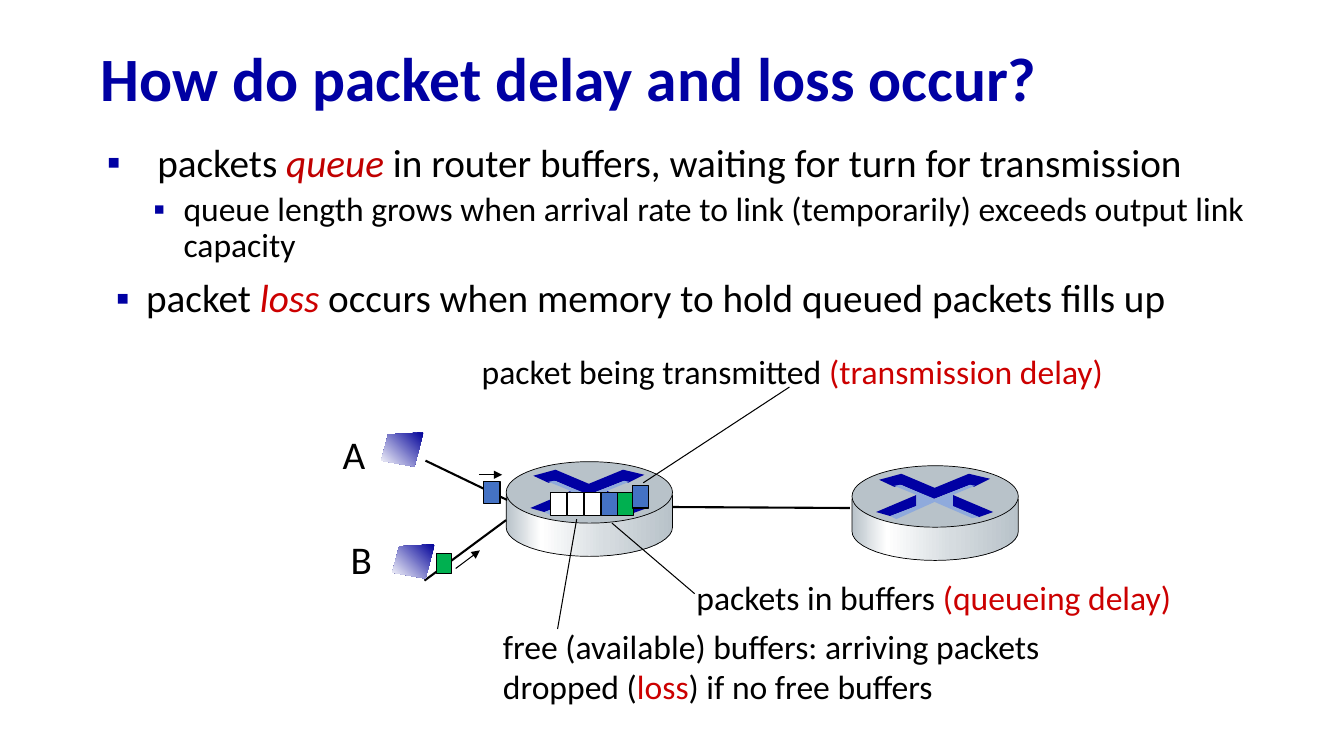
"""Build the slide on how packet delay and loss occur at a router."""
from math import cos, pi, sin

from lxml import etree
from pptx import Presentation
from pptx.dml.color import RGBColor
from pptx.enum.shapes import MSO_CONNECTOR, MSO_SHAPE
from pptx.enum.text import MSO_ANCHOR, MSO_AUTO_SIZE, PP_ALIGN
from pptx.oxml.ns import qn
from pptx.util import Inches, Pt

STRAIGHT = MSO_CONNECTOR.STRAIGHT
RECTANGLE, OVAL = MSO_SHAPE.RECTANGLE, MSO_SHAPE.OVAL
MIDDLE, LEFT, NO_FIT = MSO_ANCHOR.MIDDLE, PP_ALIGN.LEFT, MSO_AUTO_SIZE.NONE

NAVY = RGBColor(0x00, 0x00, 0xA3)
HOST_BLUE = RGBColor(0x00, 0x00, 0x99)
PALE_BLUE = RGBColor(0x8F, 0xAA, 0xDC)
BLUE = RGBColor(0x44, 0x72, 0xC4)
GREEN = RGBColor(0x00, 0xB0, 0x50)
STEEL = RGBColor(0xB8, 0xC2, 0xC9)
SILVER = RGBColor(0xD6, 0xDC, 0xE0)
WHITE = RGBColor(0xFF, 0xFF, 0xFF)
BLACK = RGBColor(0x00, 0x00, 0x00)
RED = RGBColor(0xCC, 0x00, 0x00)
DARK_RED = RGBColor(0xC0, 0x00, 0x00)

FONT = "Calibri"
CELL = Inches(0.1)

deck = Presentation()
deck.slide_width, deck.slide_height = Inches(13.33), Inches(7.5)
slide = deck.slides.add_slide(deck.slide_layouts[1])
shapes = slide.shapes


def write_runs(paragraph, pieces, size):
    """Add (text, colour, italic) pieces to a paragraph."""
    for text, color, italic in pieces:
        run = paragraph.add_run()
        run.text = text
        run.font.name, run.font.size = FONT, Pt(size)
        run.font.color.rgb, run.font.italic = color, italic


def draw_outline(column, row, points, stops, angle=0, edge=None):
    """Draw a closed outline with a plain fill (one stop) or a gradient."""
    corners = [((column + x) * CELL, (row + y) * CELL) for x, y in points]
    builder = shapes.build_freeform(*corners[0])
    builder.add_line_segments(corners[1:], close=True)
    outline = builder.convert_to_shape()
    outline.shadow.inherit = False
    if len(stops) == 1:
        outline.fill.solid()
        outline.fill.fore_color.rgb = stops[0][1]
    else:
        outline.fill.gradient()
        outline.fill.gradient_angle = angle
        stop_list = outline._element.spPr.find(".//" + qn("a:gsLst"))
        for old_stop in list(stop_list):
            stop_list.remove(old_stop)
        for percent, color in stops:
            stop = etree.SubElement(stop_list, qn("a:gs"), pos=str(percent * 1000))
            etree.SubElement(stop, qn("a:srgbClr"), val=str(color))
    if edge:
        outline.line.color.rgb, outline.line.width = BLACK, Pt(edge)
    else:
        outline.line.fill.background()


title = shapes.title
title.left, title.top, title.width, title.height = (
    int(n * CELL) for n in (9, 3.2, 115, 9.8))
title.text_frame.text = "How do packet delay and loss occur?"
title.text_frame.vertical_anchor = MIDDLE
title.text_frame.auto_size = NO_FIT
heading = title.text_frame.paragraphs[0]
heading.alignment, heading.line_spacing = LEFT, 0.9
heading_font = heading.runs[0].font
heading_font.name, heading_font.size, heading_font.bold = FONT, Pt(44), True
heading_font.color.rgb = NAVY

points_box = slide.placeholders[1]
points_box.left, points_box.top, points_box.width, points_box.height = (
    int(n * CELL) for n in (9, 13.7, 121.8, 47.6))
points_frame = points_box.text_frame
points_frame.auto_size = NO_FIT
bullet_points = [
    (0, 28, 0, 0.56, 0.5, [
        ("packets ", BLACK, False), ("queue", DARK_RED, True),
        (" in router buffers, waiting for turn for transmission", BLACK, False)]),
    (1, 24, 5, 0.82, 0.3, [
        ("queue length grows when arrival rate to link (temporarily) "
         "exceeds output link capacity", BLACK, False)]),
    (0, 28, 10, 0.45, 0.3, [
        ("packet ", BLACK, False), ("loss ", RED, True),
        ("occurs when memory to hold queued packets fills up", BLACK, False)]),
]
for number, (level, size, before, margin, hang, pieces) in enumerate(bullet_points):
    point = points_frame.add_paragraph() if number else points_frame.paragraphs[0]
    point.level = level
    properties = point._p.get_or_add_pPr()
    properties.set("marL", str(Inches(margin)))
    properties.set("indent", str(-Inches(hang)))
    bullet_color = etree.SubElement(properties, qn("a:buClr"))
    etree.SubElement(bullet_color, qn("a:srgbClr"), val=str(NAVY))
    etree.SubElement(properties, qn("a:buChar"), char="▪")
    point.line_spacing, point.space_before = 0.9, Pt(before)
    write_runs(point, pieces, size)

ROUTER_W, ROUTER_TOP_H = 16.5, 6.1
arc_angles = [pi * step / 24 for step in range(25)]
router_side = [(0, 3.3), (ROUTER_W, 3.3)] + [
    (ROUTER_W / 2 * (1 + cos(a)), 6.5 + 2.9 * sin(a)) for a in arc_angles]
cross_top = [(11.6, 0.8), (13.7, 1.3), (12.1, 2.1), (11.7, 1.9), (8.1, 3.3),
             (4.9, 1.9), (4.2, 2.1), (2.7, 1.4), (4.9, 0.8), (8.2, 2.2)]
cross_right = [(10, 2.9), (14, 4.6), (12.6, 5.1), (9.9, 4)]
cross_left = [(6.4, 2.9), (6.4, 4), (3.8, 5), (2.4, 4.6)]
cross_shade = [(4.2, 2), (4.8, 1.9), (8.2, 3.3), (11.7, 1.9), (12.2, 2),
               (10, 2.9), (10, 4), (12.6, 5.1), (11.9, 5.2), (8.2, 3.6),
               (4.4, 5.3), (3.8, 5), (6.4, 4), (6.4, 2.9)]
metal = [(0, STEEL), (21, WHITE), (60, SILVER), (100, STEEL)]
for column, row in [(50.2, 45.8), (84.5, 46.2)]:
    draw_outline(column, row, router_side, metal, edge=0.5)
    router_top = shapes.add_shape(
        OVAL, *(int(n * CELL) for n in (column, row, ROUTER_W, ROUTER_TOP_H)))
    router_top.shadow.inherit = False
    router_top.fill.solid()
    router_top.fill.fore_color.rgb = STEEL
    router_top.line.color.rgb, router_top.line.width = BLACK, Pt(0.5)
    for cross_part in (cross_top, cross_right, cross_left):
        draw_outline(column, row, cross_part, [(0, NAVY)])
    draw_outline(column, row, cross_shade, [(0, PALE_BLUE)])

links_and_pointers = [
    (66.7, 50.3, 84.3, 50.4, 1.5, False),
    (42.2, 45.7, 50.3, 49.6, 1.5, False),
    (42.1, 57.6, 50.2, 51.6, 1.5, False),
    (47.5, 47.1, 49.8, 47.1, 0.75, True),
    (45.2, 56.4, 47.6, 54.6, 0.75, True),
    (78.3, 38.4, 63.8, 47.9, 0.75, False),
    (68.9, 58.9, 60.7, 51.9, 0.75, False),
    (55.3, 62.4, 57.2, 51.5, 0.75, False),
]
for *ends, weight, has_arrow in links_and_pointers:
    link = shapes.add_connector(STRAIGHT, *(int(n * CELL) for n in ends))
    link.line.color.rgb, link.line.width = BLACK, Pt(weight)
    if has_arrow:
        etree.SubElement(link.line._get_or_add_ln(), qn("a:tailEnd"), type="triangle")
    etree.SubElement(link._element.spPr, qn("a:effectLst"))

BUFFER_LEFT, BUFFER_STEP = 54.6, 1.67
buffer_colors = [WHITE, WHITE, WHITE, BLUE, GREEN]
packets = [(BUFFER_LEFT + slot * BUFFER_STEP, 48.9, 1.6, 2.2, color)
           for slot, color in enumerate(buffer_colors)]
packets += [(62.7, 48.2, 1.6, 2.2, BLUE), (48, 47.8, 1.6, 2.2, BLUE),
            (43.3, 54.9, 1.5, 2, GREEN)]
for *place, color in packets:
    packet = shapes.add_shape(RECTANGLE, *(int(n * CELL) for n in place))
    packet.shadow.inherit = False
    packet.fill.solid()
    packet.fill.fore_color.rgb = color
    packet.line.color.rgb, packet.line.width = BLACK, Pt(0.75)

host_screen = [(4.2, 0), (0.7, 0.2), (0, 2.8), (3.3, 3.4)]
for column, row in [(37.8, 42.9), (38.9, 54)]:
    draw_outline(column, row, host_screen, [(0, HOST_BLUE), (100, WHITE)], angle=225)

labels = [
    (33, 42.2, 4.3, 5.7, 28, [[("A", BLACK, False)]]),
    (33.8, 52.6, 4.2, 5.7, 28, [[("B", BLACK, False)]]),
    (46.8, 34.3, 64.3, 5.1, 24, [[("packet being transmitted ", BLACK, False),
                                  ("(transmission delay)", RED, False)]]),
    (68.1, 56.7, 49.6, 5.1, 24, [[("packets in buffers ", BLACK, False),
                                  ("(queueing delay)", RED, False)]]),
    (48.9, 61.6, 56.6, 9.1, 24, [
        [("free (available) buffers: arriving packets", BLACK, False)],
        [("dropped (", BLACK, False), ("loss", RED, False),
         (") if no free buffers", BLACK, False)]]),
]
for *place, size, lines in labels:
    label_frame = shapes.add_textbox(*(int(n * CELL) for n in place)).text_frame
    label_frame.word_wrap = False
    for number, pieces in enumerate(lines):
        line = label_frame.add_paragraph() if number else label_frame.paragraphs[0]
        write_runs(line, pieces, size)

deck.save("out.pptx")
